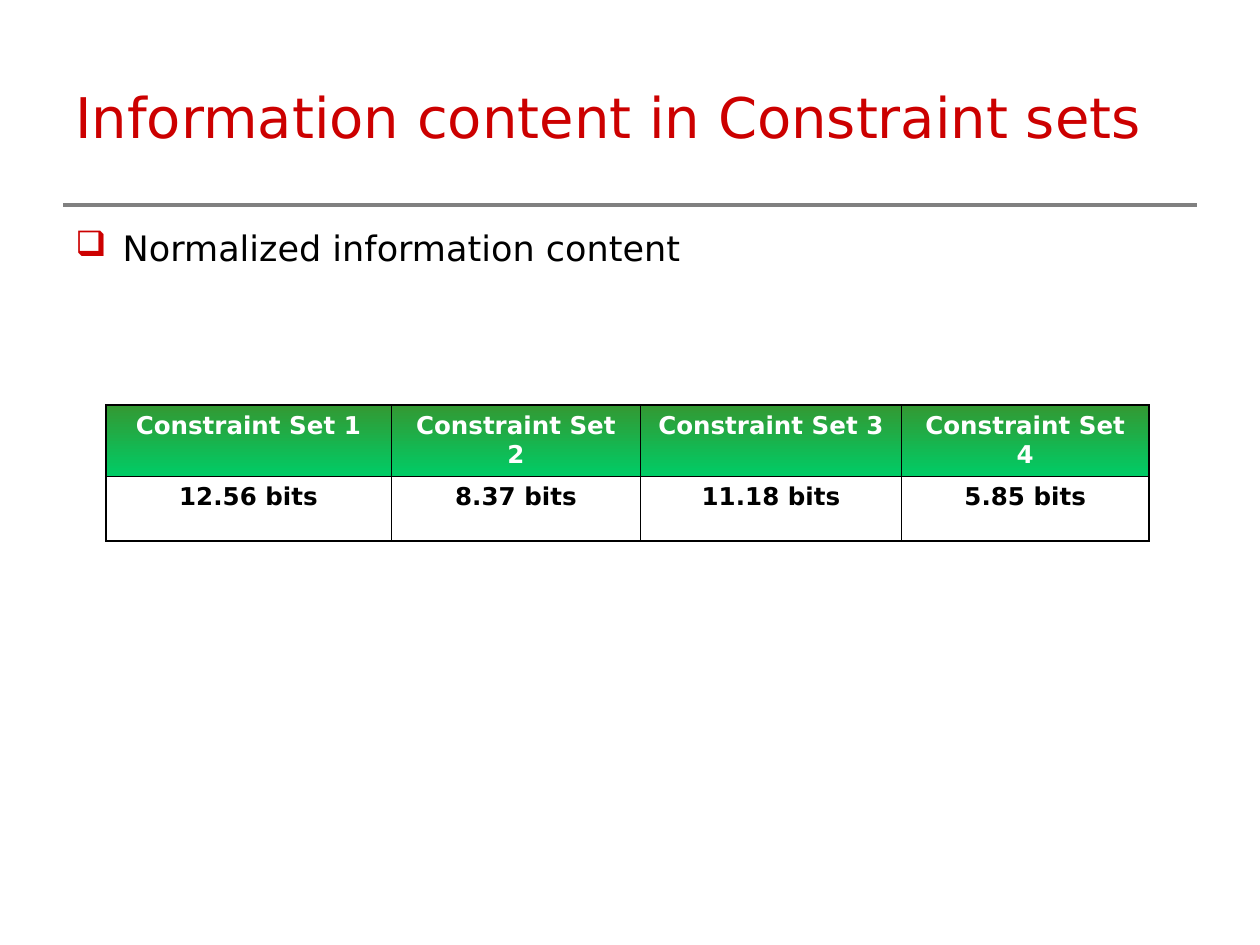
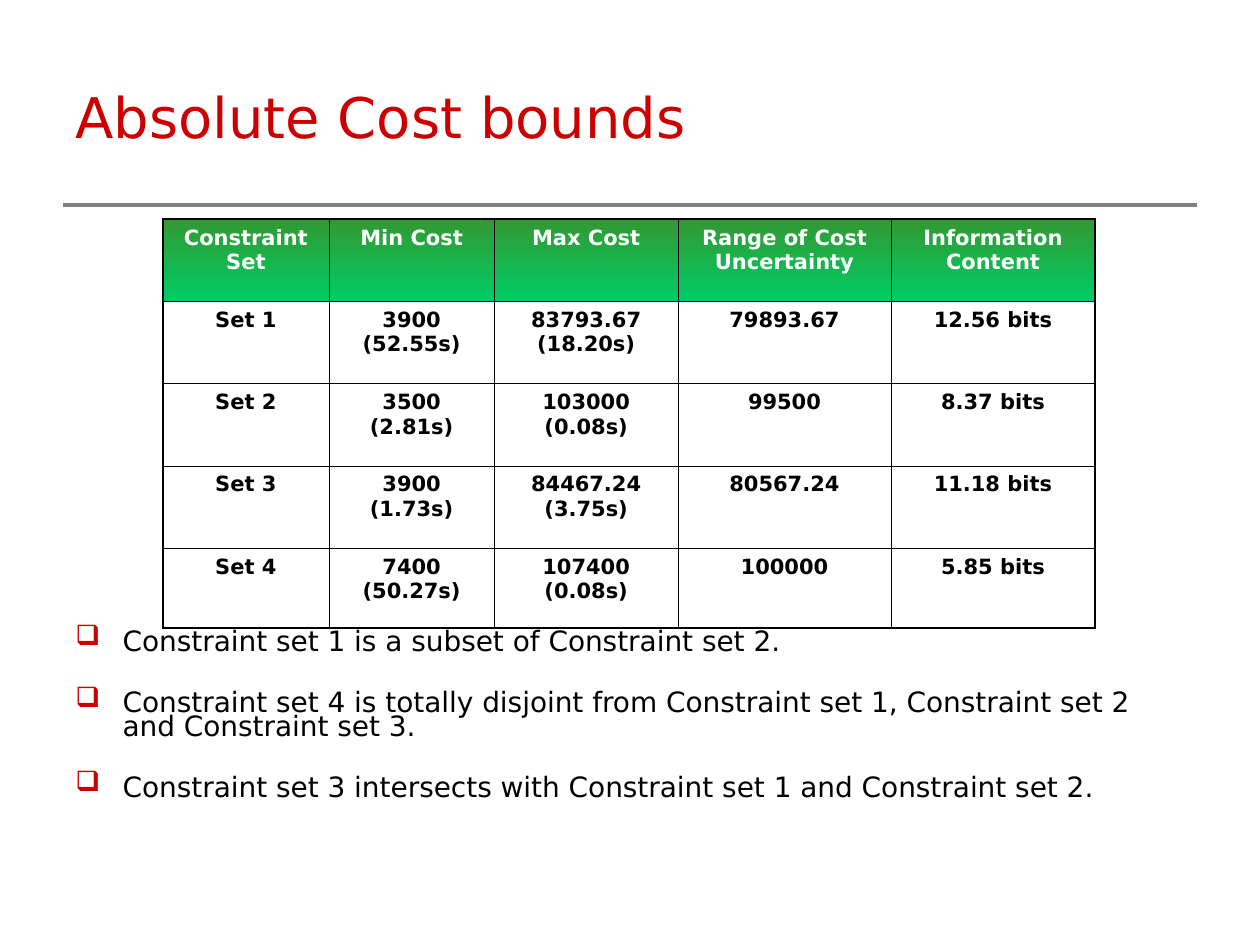
from dataclasses import dataclass

from lxml.etree import SubElement
from pptx import Presentation
from pptx.dml.color import RGBColor
from pptx.enum.shapes import MSO_CONNECTOR
from pptx.enum.text import MSO_ANCHOR, PP_ALIGN
from pptx.oxml.ns import qn
from pptx.util import Pt


@dataclass(frozen=True)
class Theme:
    font: str = "DejaVu Sans"
    title: str = "CC0000"
    text: str = "000000"
    header_text: str = "FFFFFF"
    header_top: str = "339933"
    header_bottom: str = "00CC66"
    rule: str = "808080"
    border: str = "000000"
    title_size: float = 32
    outer_border: float = 1.08
    inner_border: float = 0.45


THEME = Theme()
MARGIN, CONTENT_WIDTH = 36, 648
BULLET_INDENT = 27

PAGES = [
    {
        "title": "Information content in Constraint sets",
        "bullets": ["Normalized information content"],
        "bullet_style": {"top": 126, "height": 40, "size": 20, "line": 1, "gap": 5},
        "table": [
            ["Constraint Set 1", "Constraint Set 2", "Constraint Set 3", "Constraint Set 4"],
            ["12.56 bits", "8.37 bits", "11.18 bits", "5.85 bits"],
        ],
        "table_style": {
            "left": 60.5, "top": 231.5, "size": 14,
            "columns": [163, 142.7, 148.8, 141.8], "rows": [36.7, 36.7],
        },
    },
    {
        "title": "Absolute Cost bounds",
        "bullets": [
            "Constraint set 1 is a subset of Constraint set 2.",
            "Constraint set 4 is totally disjoint from Constraint set 1, "
            "Constraint set 2 and Constraint set 3.",
            "Constraint set 3 intersects with Constraint set 1 and Constraint set 2.",
        ],
        "bullet_style": {"top": 358, "height": 136, "size": 16, "line": 0.7, "gap": 21.5},
        "table": [
            ["Constraint Set", "Min Cost", "Max Cost", "Range of Cost Uncertainty",
             "Information Content"],
            ["Set 1", "3900 (52.55s)", "83793.67 (18.20s)", "79893.67", "12.56 bits"],
            ["Set 2", "3500 (2.81s)", "103000 (0.08s)", "99500", "8.37 bits"],
            ["Set 3", "3900 (1.73s)", "84467.24 (3.75s)", "80567.24", "11.18 bits"],
            ["Set 4", "7400 (50.27s)", "107400 (0.08s)", "100000", "5.85 bits"],
        ],
        "table_style": {
            "left": 93, "top": 125.3, "size": 12,
            "columns": [95, 94.5, 105, 121.7, 116.6], "rows": [47] * 4 + [45.5],
        },
    },
]


def set_font(para, size, color, bold=False):
    para.font.name = THEME.font
    para.font.size = Pt(size)
    para.font.bold = bold
    para.font.color.rgb = RGBColor.from_string(color)


def add_text_frame(page, top, height):
    box = page.shapes.add_textbox(Pt(MARGIN), Pt(top), Pt(CONTENT_WIDTH), Pt(height))
    box.text_frame.word_wrap = True
    return box.text_frame


def add_heading(page, title):
    """Add the grey rule and the title above it."""
    rule = page.shapes.add_connector(
        MSO_CONNECTOR.STRAIGHT, Pt(MARGIN), Pt(117), Pt(MARGIN + CONTENT_WIDTH), Pt(117))
    rule.line.color.rgb = RGBColor.from_string(THEME.rule)
    rule.line.width = Pt(2.25)
    SubElement(rule.element.spPr, qn("a:effectLst"))
    frame = add_text_frame(page, 21.6, 90)
    frame.vertical_anchor = MSO_ANCHOR.MIDDLE
    frame.text = title
    set_font(frame.paragraphs[0], THEME.title_size, THEME.title)


def add_bullets(page, items, top, height, size, line, gap):
    frame = add_text_frame(page, top, height)
    for index, item in enumerate(items):
        para = frame.add_paragraph() if index else frame.paragraphs[0]
        para.text = item
        para.line_spacing = line
        if index:
            para.space_before = Pt(gap)
        properties = para._p.get_or_add_pPr()
        properties.set("marL", str(Pt(BULLET_INDENT)))
        properties.set("indent", str(-Pt(BULLET_INDENT)))
        bullet_color = SubElement(properties, qn("a:buClr"))
        SubElement(bullet_color, qn("a:srgbClr"), val=THEME.title)
        SubElement(properties, qn("a:buChar"), char="❑")
        set_font(para, size, THEME.text)


def set_borders(cell, outer_sides):
    """Draw all four borders, heavier on the sides that are table edges."""
    properties = cell._tc.get_or_add_tcPr()
    for position, side in enumerate("LRTB"):
        width = THEME.outer_border if side in outer_sides else THEME.inner_border
        line = properties.makeelement(qn(f"a:ln{side}"), {"w": str(Pt(width))})
        fill = SubElement(line, qn("a:solidFill"))
        SubElement(fill, qn("a:srgbClr"), val=THEME.border)
        properties.insert(position, line)


def fill_header(cell):
    cell.fill.gradient()
    cell.fill.gradient_angle = 270
    colors = (THEME.header_top, THEME.header_bottom)
    for position, (stop, color) in enumerate(zip(cell.fill.gradient_stops, colors)):
        stop.position = position
        stop.color.rgb = RGBColor.from_string(color)


def add_grid(page, rows_of_text, left, top, size, columns, rows):
    table = page.shapes.add_table(
        len(rows), len(columns), Pt(left), Pt(top), Pt(sum(columns)), Pt(sum(rows))).table
    table.horz_banding = False
    for column, width in zip(table.columns, columns):
        column.width = Pt(width)
    for row, height in zip(table.rows, rows):
        row.height = Pt(height)
    for r, texts in enumerate(rows_of_text):
        for c, text in enumerate(texts):
            cell = table.cell(r, c)
            cell.text = text
            para = cell.text_frame.paragraphs[0]
            para.alignment = PP_ALIGN.CENTER
            set_font(para, size, THEME.text if r else THEME.header_text, bold=True)
            if r:
                cell.fill.background()
            else:
                fill_header(cell)
            edges = {"L": c == 0, "R": c == len(columns) - 1,
                     "T": r == 0, "B": r == len(rows) - 1}
            set_borders(cell, [side for side, is_edge in edges.items() if is_edge])


def main():
    deck = Presentation()
    deck.slide_width, deck.slide_height = Pt(720), Pt(540)
    for content in PAGES:
        page = deck.slides.add_slide(deck.slide_layouts[6])
        add_heading(page, content["title"])
        add_bullets(page, content["bullets"], **content["bullet_style"])
        add_grid(page, content["table"], **content["table_style"])
    deck.save("out.pptx")


if __name__ == "__main__":
    main()
